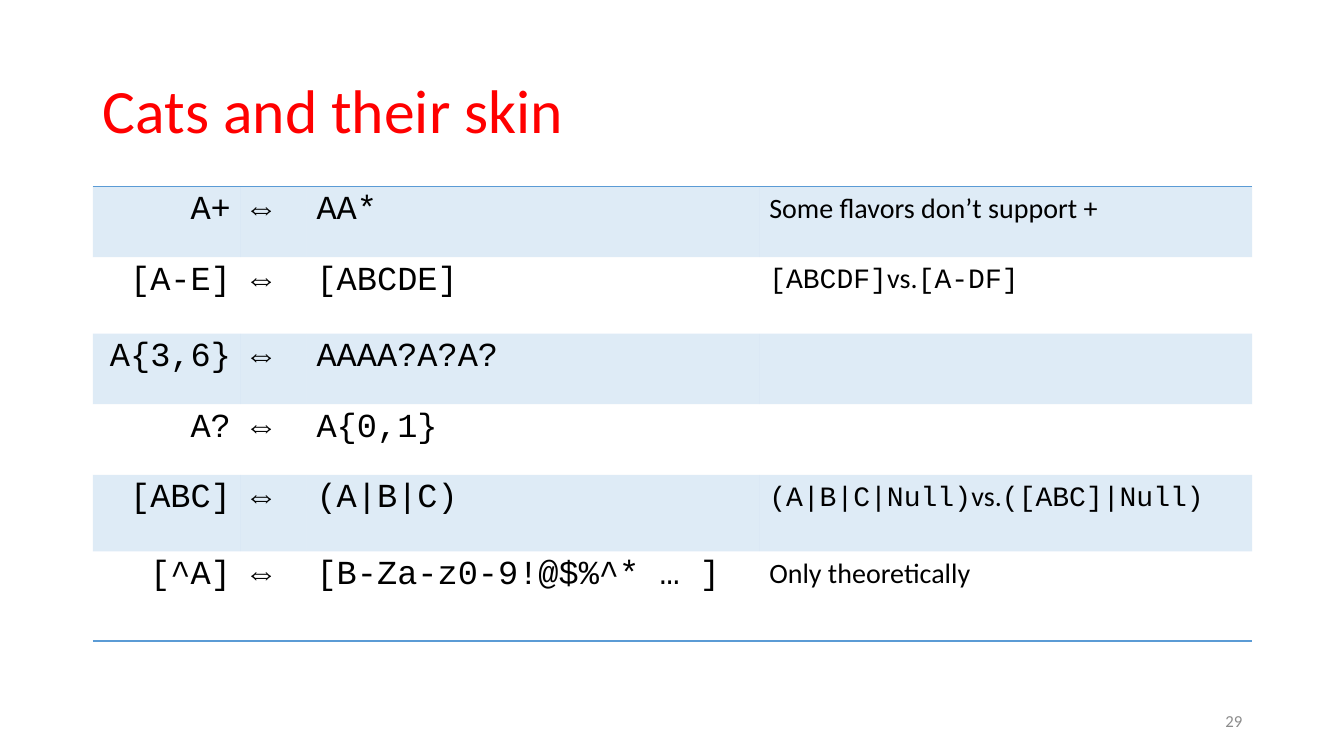
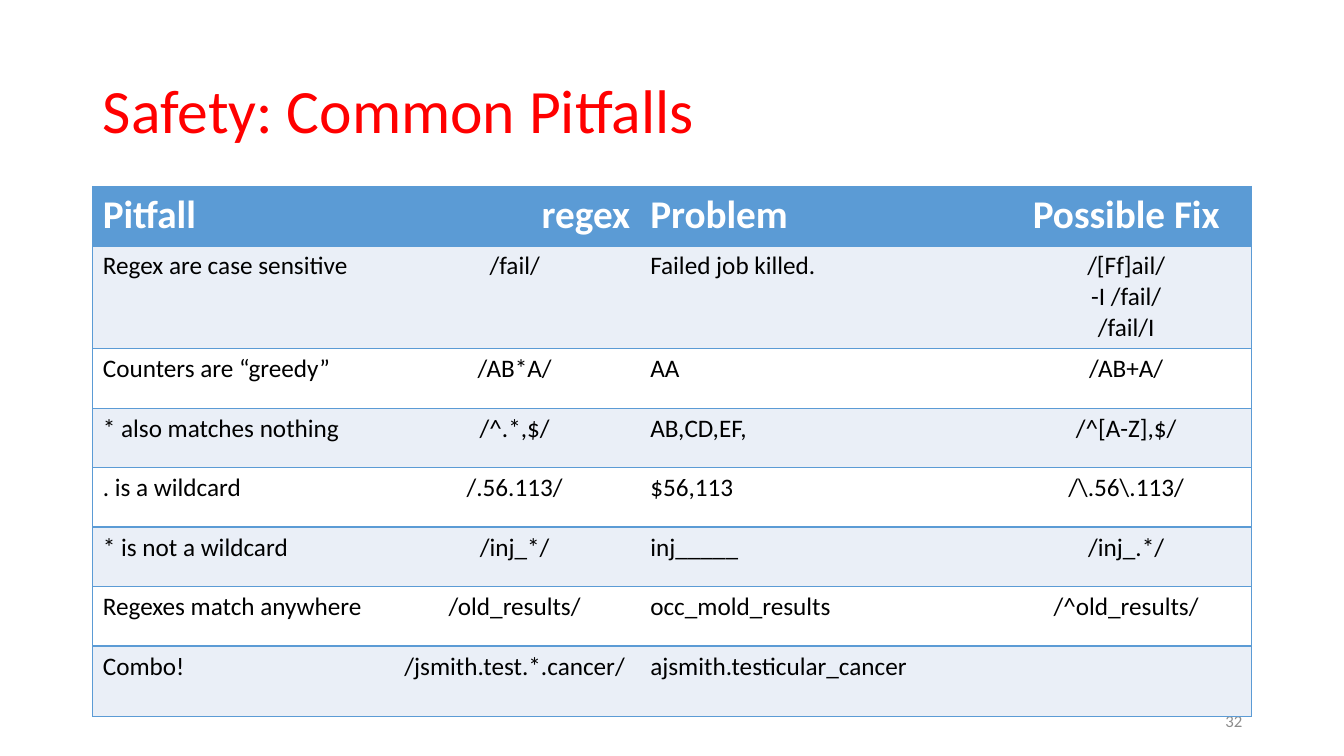
from dataclasses import dataclass

from lxml.etree import SubElement
from pptx import Presentation
from pptx.dml.color import RGBColor
from pptx.enum.text import MSO_ANCHOR as Anchor, MSO_AUTO_SIZE as AutoSize, PP_ALIGN as Align
from pptx.oxml.ns import qn
from pptx.util import Inches, Pt


@dataclass(frozen=True)
class Theme:
    red: str = "FF0000"
    blue: str = "5B9BD5"
    pale: str = "EAEFF7"
    white: str = "FFFFFF"
    black: str = "000000"
    gray: str = "8C8C8C"
    sans: str = "Calibri"
    mono: str = "Courier New"
    title: int = 44
    heading: int = 28
    pattern: int = 24
    note: int = 20
    body: int = 18
    footer: int = 12
    rule: int = 1
    plain_table: str = "{2D5ABB26-0587-4C30-8999-92F81FD0307C}"


THEME = Theme()
LEFT, WIDTH, TABLE_TOP = 0.92, 11.5, 1.85


@dataclass(frozen=True)
class Style:
    size: int
    font: str = THEME.sans
    color: str = THEME.black
    bold: bool = False


@dataclass(frozen=True)
class Span:
    text: str
    style: Style


@dataclass(frozen=True)
class Fill:
    color: str
    opacity: int = 100


@dataclass(frozen=True)
class Cell:
    lines: tuple[tuple[Span, ...], ...]
    align: Align = Align.LEFT
    fill: Fill | None = None
    borders: str = ""


@dataclass(frozen=True)
class Grid:
    columns: tuple[float, ...]
    heights: tuple[float, ...]
    rows: list[list[Cell]]
    has_header: bool = False


TITLE = Style(THEME.title, color=THEME.red)
FOOTER = Style(THEME.footer, color=THEME.gray)
HEADING = Style(THEME.heading, color=THEME.white, bold=True)
BODY = Style(THEME.body)
PATTERN = Style(THEME.pattern, THEME.mono)
NOTE = Style(THEME.note)
NOTE_CODE = Style(THEME.note, THEME.mono)

EQUIVALENTS = [
    ("A+", "AA*", (Span("Some flavors don’t support +", NOTE),)),
    ("[A-E]", "[ABCDE]",
     (Span("[ABCDF]", NOTE_CODE), Span("vs.", NOTE), Span("[A-DF]", NOTE_CODE))),
    ("A{3,6}", "AAAA?A?A?", ()),
    ("A?", "A{0,1}", ()),
    ("[ABC]", "(A|B|C)",
     (Span("(A|B|C|Null)", NOTE_CODE), Span("vs.", NOTE), Span("([ABC]|Null)", NOTE_CODE))),
    ("[^A]", "[B-Za-z0-9!@$%^* … ]", (Span("Only theoretically", NOTE),)),
]

PITFALLS = [
    ("Pitfall", "regex", "Problem", "Possible Fix"),
    ("Regex are case sensitive", "/fail/", "Failed job killed.", "/[Ff]ail/\n-I /fail/\n/fail/I"),
    ("Counters are “greedy”", "/AB*A/", "AA", "/AB+A/"),
    ("* also matches nothing", "/^.*,$/", "AB,CD,EF,", "/^[A-Z],$/"),
    (". is a wildcard", "/.56.113/", "$56,113", r"/\.56\.113/"),
    ("* is not a wildcard", "/inj_*/", "inj_____", "/inj_.*/"),
    ("Regexes match anywhere", "/old_results/", "occ_mold_results", "/^old_results/"),
    ("Combo!", "/jsmith.test.*.cancer/", "ajsmith.testicular_cancer", ""),
]


def add_span(para, span: Span) -> None:
    run = para.add_run()
    run.text = span.text
    font = run.font
    font.size, font.name, font.bold = Pt(span.style.size), span.style.font, span.style.bold
    font.color.rgb = RGBColor.from_string(span.style.color)


def add_page(deck, title: str, number: int):
    """Add a page with the shared title style and its printed page number."""
    page = deck.slides.add_slide(deck.slide_layouts[5])
    box = page.shapes.title
    box.left, box.top, box.width, box.height = map(Inches, (LEFT, 0.4, WIDTH, 1.45))
    frame = box.text_frame
    frame.vertical_anchor, frame.auto_size = Anchor.MIDDLE, AutoSize.NONE
    para = frame.paragraphs[0]
    para.alignment, para.line_spacing = Align.LEFT, 0.9
    add_span(para, Span(title, TITLE))

    footer = page.shapes.add_textbox(Inches(9.42), Inches(6.95), Inches(3), Inches(0.4))
    frame = footer.text_frame
    frame.word_wrap, frame.vertical_anchor = True, Anchor.MIDDLE
    para = frame.paragraphs[0]
    para.alignment = Align.RIGHT
    add_span(para, Span(str(number), FOOTER))
    return page


def fill_cell(target, cell: Cell) -> None:
    properties = target._tc.get_or_add_tcPr()
    for side in "LRTB":
        if side in cell.borders:
            line = SubElement(properties, qn(f"a:ln{side}"), w=str(Pt(THEME.rule)))
            solid = SubElement(line, qn("a:solidFill"))
            SubElement(solid, qn("a:srgbClr"), val=THEME.blue)
    if cell.fill:
        target.fill.solid()
        target.fill.fore_color.rgb = RGBColor.from_string(cell.fill.color)
        if cell.fill.opacity < 100:
            color = properties.find(f"{qn('a:solidFill')}/{qn('a:srgbClr')}")
            SubElement(color, qn("a:alpha"), val=str(cell.fill.opacity * 1000))
    else:
        target.fill.background()
    frame = target.text_frame
    for index, line in enumerate(cell.lines):
        para = frame.add_paragraph() if index else frame.paragraphs[0]
        para.alignment = cell.align
        for span in line:
            add_span(para, span)


def add_grid(page, grid: Grid) -> None:
    shape = page.shapes.add_table(
        len(grid.heights), len(grid.columns), Inches(LEFT), Inches(TABLE_TOP),
        Inches(WIDTH), Inches(sum(grid.heights)))
    table = shape.table
    table.first_row, table.horz_banding = grid.has_header, False
    table._tbl.tblPr.find(qn("a:tableStyleId")).text = THEME.plain_table
    for column, width in zip(table.columns, grid.columns):
        column.width = Inches(width)
    for row, height, cells in zip(table.rows, grid.heights, grid.rows):
        row.height = Inches(height)
        for target, cell in zip(row.cells, cells):
            fill_cell(target, cell)


def equivalents_grid() -> Grid:
    rows = []
    last = len(EQUIVALENTS) - 1
    for index, (short, long, note) in enumerate(EQUIVALENTS):
        fill = Fill(THEME.blue, 20) if index % 2 == 0 else None
        borders = {0: "T", last: "B"}.get(index, "")
        contents = [(Span(text, PATTERN),) for text in (short, "⇔", long)] + [note]
        rows.append([
            Cell((line,) if line else (), Align.LEFT if column else Align.RIGHT, fill, borders)
            for column, line in enumerate(contents)])
    return Grid((1.47, 0.65, 4.49, 4.89), (0.7, 0.76, 0.7, 0.7, 0.76, 0.89), rows)


def pitfalls_grid() -> Grid:
    body_aligns = (Align.LEFT, Align.CENTER, Align.LEFT, Align.CENTER)
    head_aligns = (Align.LEFT, Align.RIGHT, Align.LEFT, Align.CENTER)
    sides = ("LTB", "TB", "TB", "RTB")
    rows = []
    for index, texts in enumerate(PITFALLS):
        if index == 0:
            style, aligns, color = HEADING, head_aligns, THEME.blue
        else:
            style, aligns = BODY, body_aligns
            color = THEME.pale if index % 2 else THEME.white
        rows.append([
            Cell(tuple((Span(line, style),) for line in text.splitlines()),
                 align, Fill(color), borders)
            for text, align, borders in zip(texts, aligns, sides)])
    heights = (0.59, 1.02, *[0.59] * 5, 0.7)
    return Grid((2.94, 2.49, 3.58, 2.48), heights, rows, has_header=True)


def main() -> None:
    deck = Presentation()
    deck.slide_width, deck.slide_height = Inches(13.33), Inches(7.5)
    add_grid(add_page(deck, "Cats and their skin", 29), equivalents_grid())
    add_grid(add_page(deck, "Safety: Common Pitfalls", 32), pitfalls_grid())
    deck.save("out.pptx")


if __name__ == "__main__":
    main()
